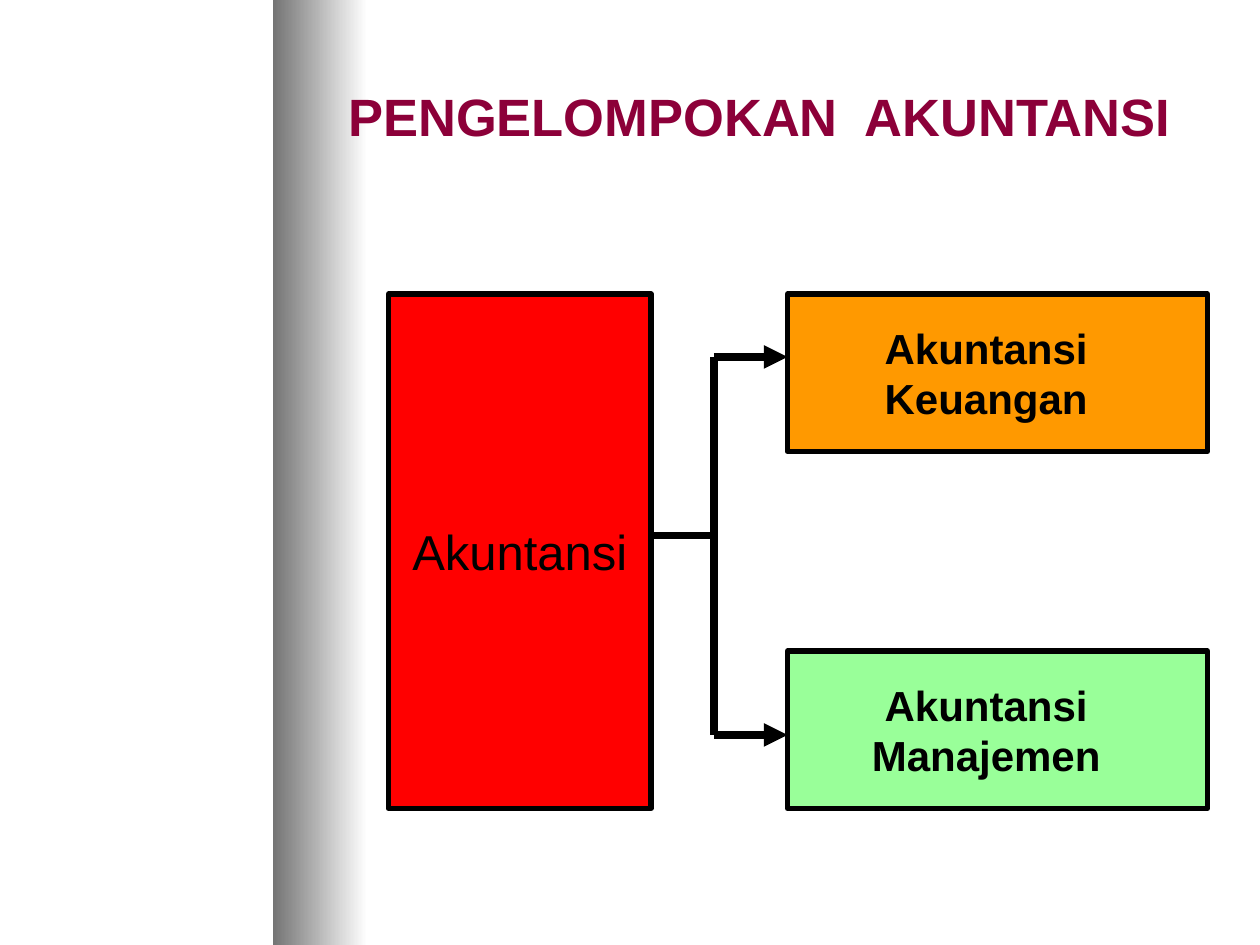
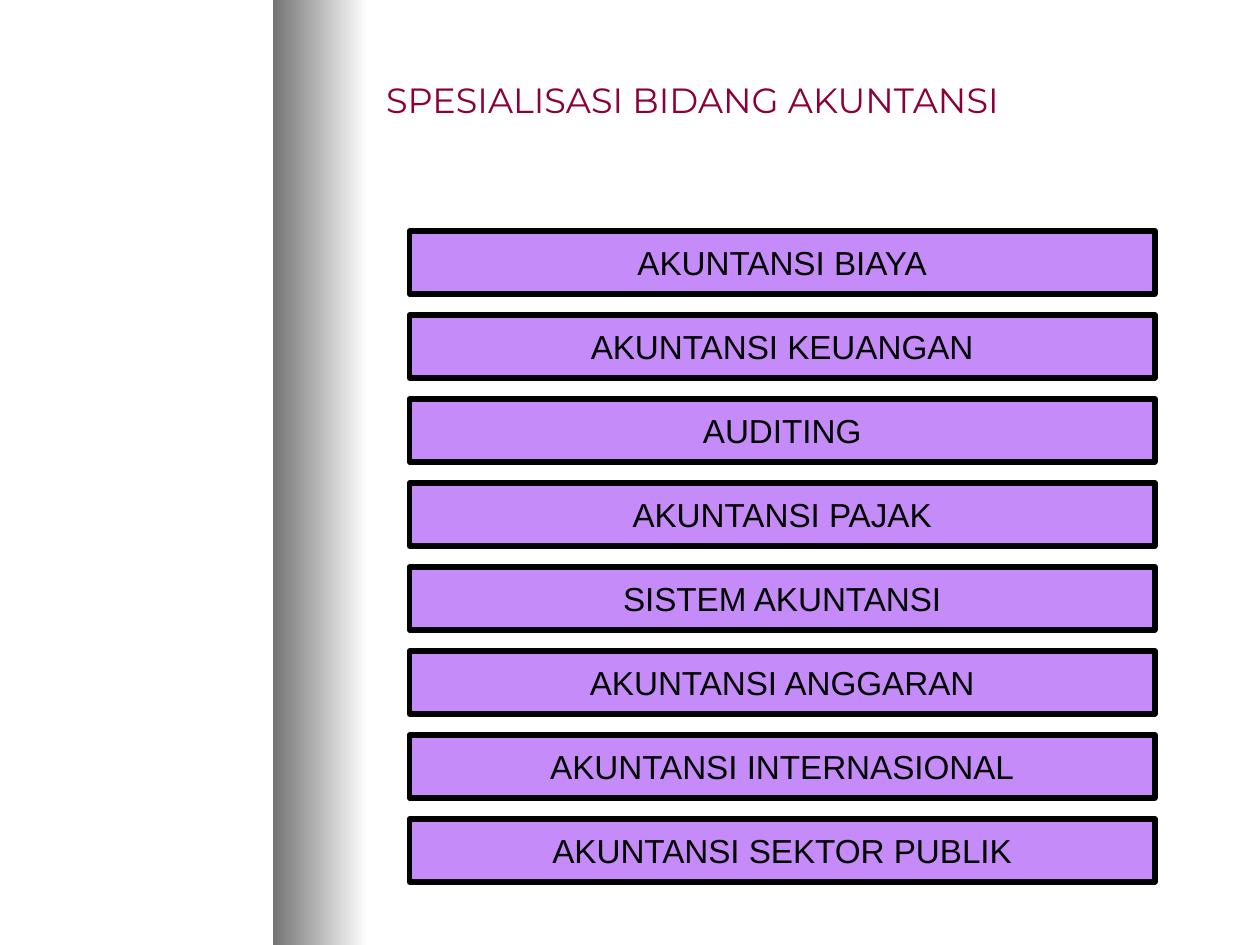
from lxml.etree import SubElement
from pptx import Presentation
from pptx.dml.color import RGBColor
from pptx.enum.shapes import MSO_CONNECTOR, MSO_SHAPE
from pptx.enum.text import MSO_ANCHOR, PP_ALIGN
from pptx.oxml.ns import qn
from pptx.util import Pt

BLACK, MAROON, GREY, WHITE = "000000", "8C0039", "747474", "FFFFFF"
RED, ORANGE, GREEN, PURPLE = "FF0000", "FF9900", "99FF99", "C58BF9"
SPECIALISMS = [
    "AKUNTANSI BIAYA",
    "AKUNTANSI KEUANGAN",
    "AUDITING",
    "AKUNTANSI PAJAK",
    "SISTEM AKUNTANSI",
    "AKUNTANSI ANGGARAN",
    "AKUNTANSI INTERNASIONAL",
    "AKUNTANSI SEKTOR PUBLIK",
]


def rgb(code):
    return RGBColor.from_string(code)


def set_format(target, **values):
    for name, value in values.items():
        setattr(target, name, value)


def write_lines(frame, lines, size, color, align, bold=False, font="Arial"):
    set_format(frame, word_wrap=True, vertical_anchor=MSO_ANCHOR.MIDDLE)
    for index, line in enumerate(lines):
        paragraph = frame.add_paragraph() if index else frame.paragraphs[0]
        paragraph.alignment = align
        run = paragraph.add_run()
        run.text = line
        set_format(run.font, name=font, size=Pt(size), bold=bold)
        run.font.color.rgb = rgb(color)


def add_band(slide):
    band = slide.shapes.add_shape(MSO_SHAPE.RECTANGLE, Pt(156), 0, Pt(54), Pt(540))
    band.shadow.inherit = False
    band.line.fill.background()
    band.fill.gradient()
    band.fill.gradient_angle = 0
    for stop, color, position in zip(band.fill.gradient_stops, (GREY, WHITE), (0, 1)):
        stop.color.rgb = rgb(color)
        stop.position = position


def add_title(slide, text, area, size, **style):
    title = slide.shapes.add_textbox(*map(Pt, area))
    write_lines(title.text_frame, [text], size, MAROON, PP_ALIGN.LEFT, **style)


def add_box(slide, lines, area, fill, size, bold=False):
    box = slide.shapes.add_shape(MSO_SHAPE.RECTANGLE, *map(Pt, area))
    box.shadow.inherit = False
    box.fill.solid()
    box.fill.fore_color.rgb = rgb(fill)
    box.line.color.rgb = rgb(BLACK)
    box.line.width = Pt(3)
    write_lines(box.text_frame, lines, size, BLACK, PP_ALIGN.CENTER, bold)
    return box


def add_branch(slide, start, end, arrow=False):
    branch = slide.shapes.add_connector(
        MSO_CONNECTOR.STRAIGHT, *map(Pt, (*start, *end)))
    branch.line.color.rgb = rgb(BLACK)
    branch.line.width = Pt(4.5)
    if arrow:
        SubElement(branch.get_or_add_ln(), qn("a:tailEnd"), type="triangle")
    SubElement(branch._element.spPr, qn("a:effectLst"))


def add_slide(deck):
    slide = deck.slides.add_slide(deck.slide_layouts[6])
    add_band(slide)
    return slide


def build_grouping(deck):
    slide = add_slide(deck)
    add_title(slide, "PENGELOMPOKAN  AKUNTANSI", (192, 18, 504, 96), 30, bold=True)
    add_box(slide, ["Akuntansi"], (222, 168, 150, 294), RED, 28)
    trunk, upper, lower = 408, 204, 420
    fields = [("Keuangan", 168, ORANGE), ("Manajemen", 372, GREEN)]
    for field, top, fill in fields:
        box = add_box(slide, ["Akuntansi", field], (450, top, 240, 90), fill, 24, True)
        box.text_frame.paragraphs[0]._p.get_or_add_pPr().set("marR", str(Pt(13)))
    add_branch(slide, (trunk, upper), (trunk, lower))
    for height in (lower, upper):
        add_branch(slide, (trunk, height), (450, height), arrow=True)
    add_branch(slide, (372, 306), (trunk, 306))


def build_specialisms(deck):
    slide = add_slide(deck)
    add_title(slide, "SPESIALISASI BIDANG AKUNTANSI", (213.5, 39, 420, 36), 20,
              font="Montserrat")
    for row, specialism in enumerate(SPECIALISMS):
        add_box(slide, [specialism], (234, 132 + 48 * row, 426, 36), PURPLE, 19)


def main():
    deck = Presentation()
    set_format(deck, slide_width=Pt(720), slide_height=Pt(540))
    build_grouping(deck)
    build_specialisms(deck)
    deck.save("out.pptx")


if __name__ == "__main__":
    main()
